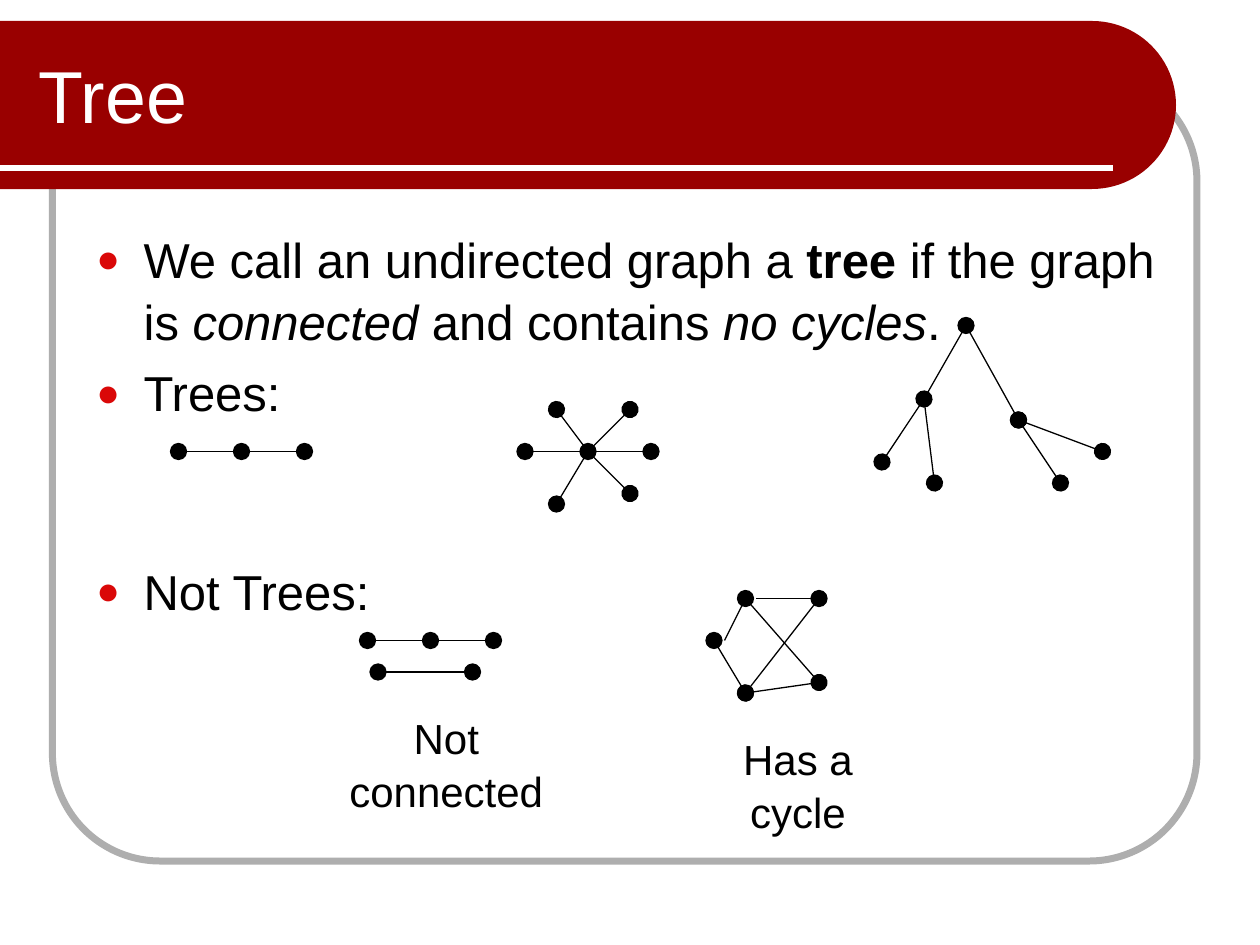
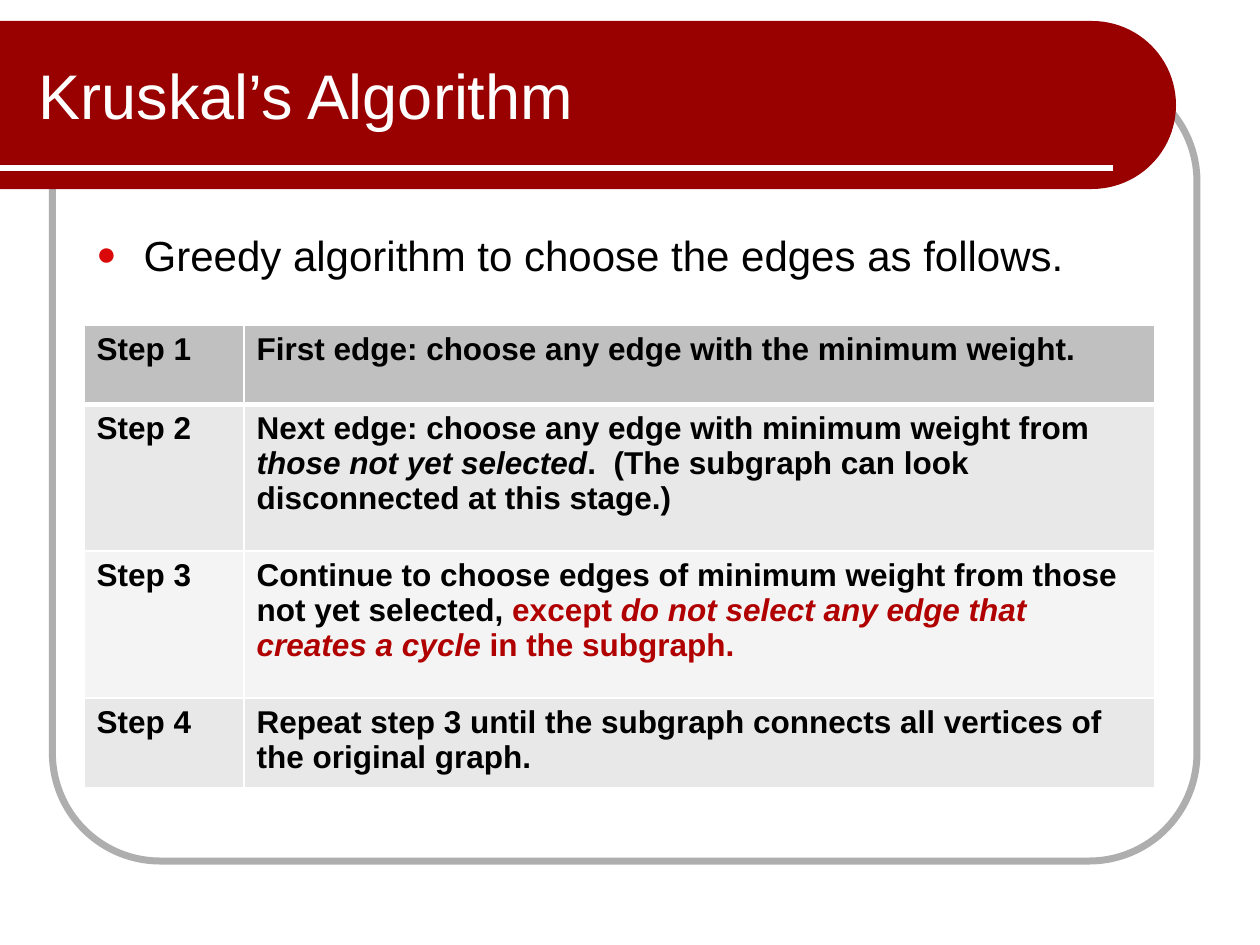
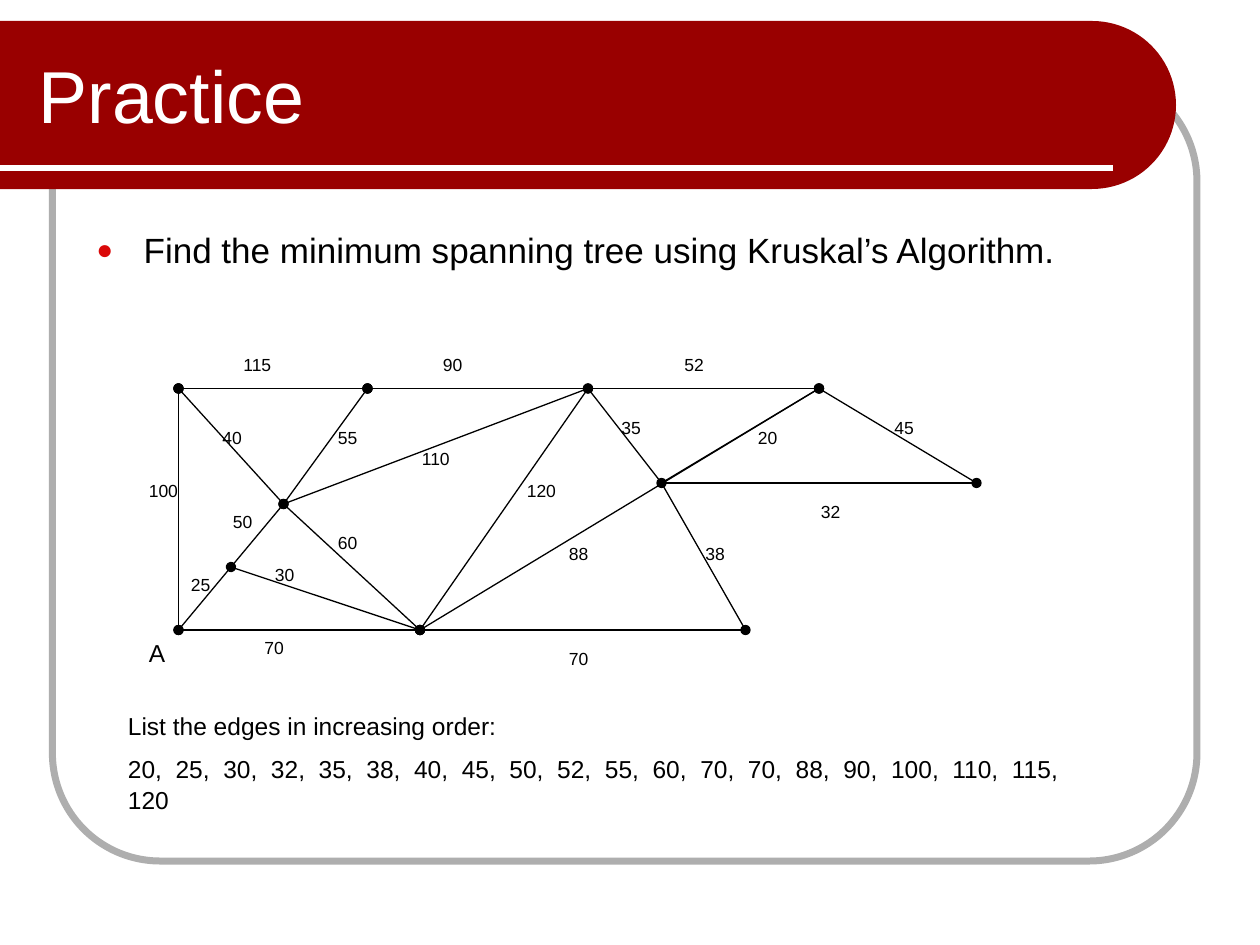
"""Build three slides on trees and Kruskal's algorithm."""
import math

from lxml import etree
from pptx import Presentation
from pptx import util as u
from pptx.dml import color
from pptx.enum import shapes, text
from pptx.oxml import ns

PX = 9525
RED, FRAME, WHITE, BLACK = "990000", "AEAEAE", "FFFFFF", "000000"
BULLET, WARNING = "DA0808", "B00000"
HEADER_FILL, ROW_FILLS = "C0C0C0", ("F4F4F4", "E8E8E8")


def px(length):
    return u.Emu(round(length * PX))


def rgb(code):
    return color.RGBColor.from_string(code)


def add_xml(parent, tag, **attributes):
    return etree.SubElement(parent, ns.qn(tag), attributes)


class Deck:
    """Hold the shared style and the current slide."""

    font = "Arial"
    line_pitch = 1.05

    def __init__(self):
        self.prs = Presentation()
        self.prs.slide_width, self.prs.slide_height = px(960), px(720)
        self.slide = None

    def start(self, title, size=42):
        self.slide = self.prs.slides.add_slide(self.prs.slide_layouts[6])
        self.frame()
        self.band()
        self.line((0, 128), (848, 128), WHITE, 3)
        heading = self.box(20, 24, 748, 96)
        heading.vertical_anchor = text.MSO_ANCHOR.MIDDLE
        self.add_runs(heading.paragraphs[0], [(title,)], size, WHITE)

    def frame(self):
        frame = self.slide.shapes.add_shape(
            shapes.MSO_SHAPE.ROUNDED_RECTANGLE, px(40), px(56), px(872), px(600))
        frame.adjustments[0] = 0.137
        frame.fill.background()
        frame.line.color.rgb = rgb(FRAME)
        frame.line.width = u.Pt(4)
        frame.shadow.inherit = False

    def band(self, top=16, straight=832, radius=64, steps=48):
        angles = [math.pi * (step / steps - 0.5) for step in range(steps + 1)]
        arc = [(px(straight + radius * math.cos(a)), px(top + radius + radius * math.sin(a)))
               for a in angles]
        builder = self.slide.shapes.build_freeform(0, px(top))
        builder.add_line_segments(arc + [(0, px(top + 2 * radius))])
        band = builder.convert_to_shape()
        band.fill.solid()
        band.fill.fore_color.rgb = rgb(RED)
        band.line.fill.background()
        band.shadow.inherit = False

    def box(self, left, top, width, height, grow=False):
        frame = self.slide.shapes.add_textbox(px(left), px(top), px(width), px(height)).text_frame
        frame.word_wrap = True
        if grow:
            frame.auto_size = text.MSO_AUTO_SIZE.SHAPE_TO_FIT_TEXT
        return frame

    def add_runs(self, paragraph, runs, size, ink=BLACK, bold=False):
        for words, *style in runs:
            marks, tint = style + ["", ink][len(style):]
            run = paragraph.add_run()
            run.text = words
            run.font.name, run.font.size = self.font, u.Pt(size)
            run.font.bold, run.font.italic = bold or "b" in marks, "i" in marks
            run.font.color.rgb = rgb(tint)

    def paragraphs(self, frame, entries, size, align=None, bullet=False):
        for index, (runs, gap) in enumerate(entries):
            paragraph = frame.add_paragraph() if index else frame.paragraphs[0]
            paragraph.space_before = u.Pt(gap)
            paragraph.line_spacing = self.line_pitch
            paragraph.alignment = align
            if bullet:
                self.bullet(paragraph)
            self.add_runs(paragraph, runs, size)

    def bullet(self, paragraph):
        props = paragraph._p.get_or_add_pPr()
        props.set("marL", str(px(36)))
        props.set("indent", str(px(-36)))
        add_xml(add_xml(props, "a:buClr"), "a:srgbClr", val=BULLET)
        add_xml(props, "a:buSzPct", val="80000")
        add_xml(props, "a:buFont", typeface=self.font)
        add_xml(props, "a:buChar", char="●")

    def body(self, entries, size):
        self.paragraphs(self.box(64, 168, 832, 464), entries, size, bullet=True)

    def label(self, place, entries, size, align=None):
        self.paragraphs(self.box(*place, grow=True), entries, size, align)

    def line(self, start, end, ink=BLACK, weight=0.75, dots="", dot_size="med"):
        line = self.slide.shapes.add_connector(
            shapes.MSO_CONNECTOR.STRAIGHT, *map(px, start + end))
        line.line.width = u.Pt(weight)
        line.line.color.rgb = rgb(ink)
        for letter, tag in (("h", "a:headEnd"), ("t", "a:tailEnd")):
            if letter in dots:
                add_xml(line.line._ln, tag, type="oval", w=dot_size, len=dot_size)
        add_xml(line._element.spPr, "a:effectLst")

    def table(self, place, widths, heights, rows, size):
        table = self.slide.shapes.add_table(len(rows), len(widths), *map(px, place)).table
        for column, width in zip(table.columns, widths):
            column.width = px(width)
        for index, (row, height, entries) in enumerate(zip(table.rows, heights, rows)):
            row.height = px(height)
            for cell, runs in zip(row.cells, entries):
                self.borders(cell, top=3 if index == 1 else 1, bottom=1 if index else 3)
                cell.fill.solid()
                cell.fill.fore_color.rgb = rgb(ROW_FILLS[index % 2] if index else HEADER_FILL)
                self.add_runs(cell.text_frame.paragraphs[0], runs, size, bold=True)

    def borders(self, cell, top, bottom):
        props = cell._tc.get_or_add_tcPr()
        for side, weight in (("L", 1), ("R", 1), ("T", top), ("B", bottom)):
            edge = add_xml(props, f"a:ln{side}", w=str(u.Pt(weight)))
            add_xml(add_xml(edge, "a:solidFill"), "a:srgbClr", val=WHITE)


TREE_EDGES = [
    ((704, 304), (672, 352), "ht"), ((776, 320), (808, 368), "ht"),
    ((736, 248), (776, 320), "ht"), ((704, 304), (736, 248), ""),
    ((704, 304), (712, 368), "t"), ((776, 320), (840, 344), "t"),
    ((136, 344), (184, 344), "ht"), ((184, 344), (232, 344), "t"),
    ((400, 344), (448, 344), "ht"),
]
STAR_CENTRE = (448, 344)
STAR_TIPS = [(496, 344), (480, 312), (480, 376), (424, 312), (424, 384)]
NOT_TREE_EDGES = [
    ((280, 488), (328, 488), "ht"), ((328, 488), (376, 488), "t"),
    ((288, 512), (360, 512), "ht"),
    ((544, 488), (568, 528), "ht"), ((576, 456), (624, 456), "t"),
    ((568, 456), (624, 520), "t"), ((552, 488), (568, 456), "t"),
    ((624, 520), (568, 528), "t"), ((568, 528), (624, 456), ""),
]

STEPS = [
    [("First edge: choose any edge with the minimum weight.",)],
    [("Next edge: choose any edge with minimum weight from ",),
     ("those not yet selected", "i"),
     (".  (The subgraph can look disconnected at this stage.)",)],
    [("Continue to choose edges of minimum weight from those not yet selected, ",),
     ("except ", "", WARNING),
     ("do not select any edge that creates a cycle", "i", WARNING),
     (" in the subgraph.", "", WARNING)],
    [("Repeat step 3 until the subgraph connects all vertices of the original graph.",)],
]

VERTICES = {
    "A": (136, 480), "B": (136, 296), "C": (280, 296), "D": (448, 296),
    "E": (624, 296), "F": (744, 368), "G": (504, 368), "H": (568, 480),
    "I": (320, 480), "J": (216, 384), "K": (176, 432),
}
WEIGHTED_EDGES = [
    ("AB", 100, "ht", (104, 360, 48)), ("BC", 115, "ht", (176, 264, 48)),
    ("CD", 90, "ht", (328, 264, 56)), ("DE", 52, "ht", (512, 264, 56)),
    ("EF", 45, "ht", (672, 312, 40)), ("JB", 40, "ht", (160, 320, 40)),
    ("JC", 55, "ht", (248, 320, 40)), ("JD", 110, "", (312, 336, 54)),
    ("AI", 70, "ht", (192, 480, 40)), ("IH", 70, "ht", (424, 488, 40)),
    ("JI", 60, "", (248, 400, 40)), ("IK", 30, "ht", (200, 424, 40)),
    ("DI", 120, "", (392, 360, 56)), ("EI", 88, "", (424, 408, 40)),
    ("EG", 20, "ht", (568, 320, 40)), ("DG", 35, "", (464, 312, 40)),
    ("GF", 32, "", (616, 376, 40)), ("GH", 38, "", (528, 408, 40)),
    ("AK", 25, "", (136, 432, 40)), ("KJ", 50, "", (168, 384, 40)),
]


def tree_slide(deck):
    deck.start("Tree")
    definition = [("We call an undirected graph a ",), ("tree ", "b"), ("if the graph is ",),
                  ("connected ", "i"), ("and contains ",), ("no cycles", "i"), (".",)]
    deck.body([(definition, 0), ([("Trees:",)], 5.6), ([("Not Trees:",)], 78)], 28)
    star = [(STAR_CENTRE, tip, "t") for tip in STAR_TIPS]
    for start, end, dots in TREE_EDGES + star + NOT_TREE_EDGES:
        deck.line(start, end, dots=dots, dot_size="lg")
    for words, place in (("Not connected", (248, 536, 184, 86)),
                         ("Has a cycle", (520, 552, 176, 87))):
        deck.label(place, [([(words,)], 0)], 24, text.PP_ALIGN.CENTER)


def algorithm_slide(deck):
    deck.start("Kruskal’s Algorithm", 36)
    deck.body([([("Greedy algorithm to choose the edges as follows.",)], 0)], 24)
    rows = [([(f"Step {number}",)], step) for number, step in enumerate(STEPS, 1)]
    deck.table((64, 248, 816, 352), (122, 694), (60, 112, 112, 68), rows, 18)


def practice_slide(deck):
    deck.start("Practice")
    deck.body([([("Find the minimum spanning tree using Kruskal’s Algorithm.",)], 0)], 20)
    for (start, end), _, dots, _ in WEIGHTED_EDGES:
        deck.line(VERTICES[start], VERTICES[end], dots=dots)
    for _, weight, _, place in WEIGHTED_EDGES:
        deck.label((*place, 26), [([(str(weight),)], 0)], 10)
    deck.label((104, 480, 48, 32), [([("A",)], 0)], 14)
    ordered = ",  ".join(str(weight) for weight in sorted(edge[1] for edge in WEIGHTED_EDGES))
    deck.label((88, 536, 736, 65),
               [([("List the edges in increasing order:",)], 0), ([(ordered,)], 7)], 14)


def main():
    deck = Deck()
    tree_slide(deck)
    algorithm_slide(deck)
    practice_slide(deck)
    deck.prs.save("out.pptx")


if __name__ == "__main__":
    main()
